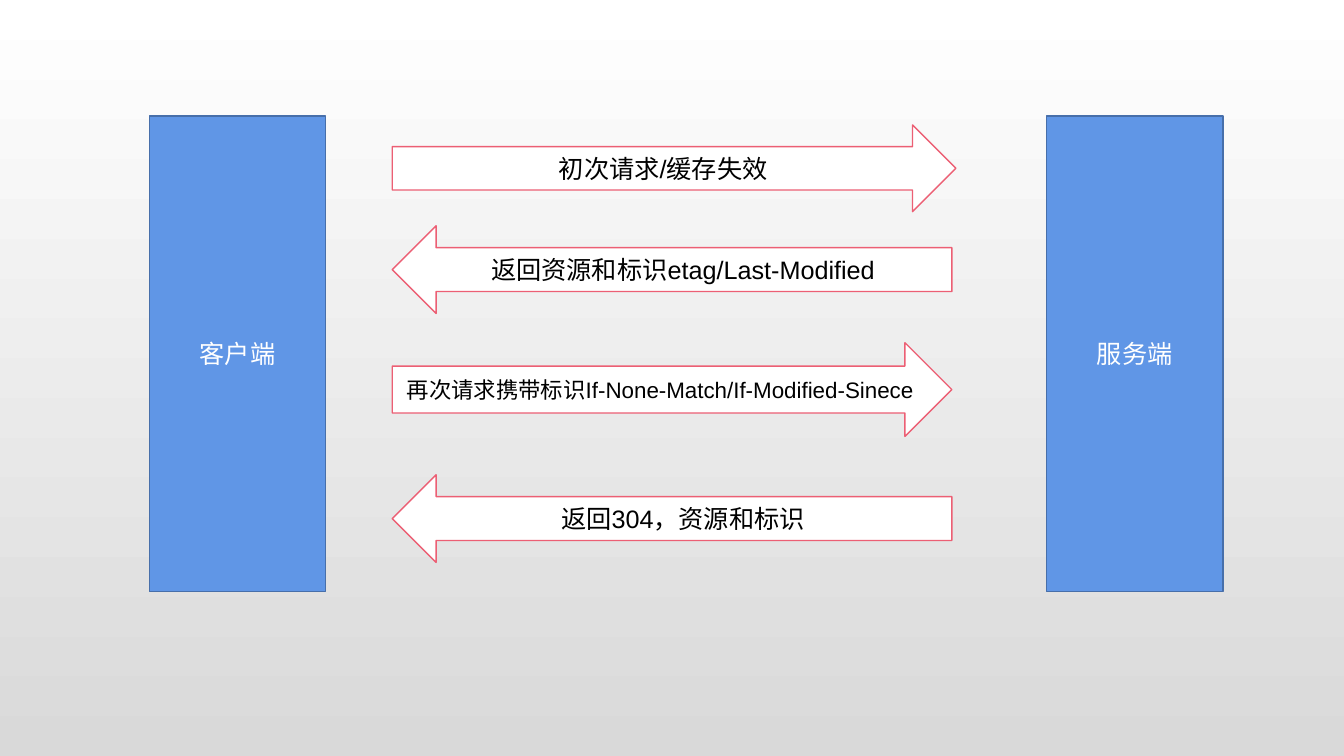
from pptx import Presentation
from pptx.dml.color import RGBColor
from pptx.enum.shapes import MSO_SHAPE
from pptx.enum.text import MSO_ANCHOR, PP_ALIGN
from pptx.util import Inches, Pt

RECT = MSO_SHAPE.RECTANGLE
RIGHT, LEFT = MSO_SHAPE.RIGHT_ARROW, MSO_SHAPE.LEFT_ARROW
MIDDLE, CENTER = MSO_ANCHOR.MIDDLE, PP_ALIGN.CENTER

# Content: endpoints (label, left) and messages
# (direction, label, top, width, height, text size)
ENDPOINTS = [("客户端", 1.48), ("服务端", 10.38)]
MESSAGES = [
    (RIGHT, "初次请求/缓存失效", 1.24, 5.59, 0.86, 18),
    (LEFT, "返回资源和标识etag/Last-Modified", 2.24, 5.55, 0.87, 18),
    (RIGHT, "再次请求携带标识If-None-Match/If-Modified-Sinece", 3.4, 5.55, 0.93, 16),
    (LEFT, "返回304，资源和标识", 4.71, 5.55, 0.87, 18),
]

# Layout and colours
ENDPOINT_TOP, ENDPOINT_W, ENDPOINT_H = 1.15, 1.75, 4.72
MESSAGE_LEFT = 3.89
BACKGROUND = ["FFFFFF", "D9D9D9"]
ENDPOINT_COLOURS = ("6096E6", "476FAA", "FFFFFF")  # fill, line, text
MESSAGE_COLOURS = ("FFFFFF", "EC5F74", "000000")


def rgb(value):
    return RGBColor.from_string(value)


def add_box(s, kind, box, label, size, colours):
    fill, line, text = map(rgb, colours)
    sp = s.shapes.add_shape(kind, *map(Inches, box))
    sp.shadow.inherit = False
    sp.fill.solid()
    sp.fill.fore_color.rgb = fill
    sp.line.color.rgb = line
    sp.line.width = Pt(1)
    tf = sp.text_frame
    tf.word_wrap = True
    tf.vertical_anchor = MIDDLE
    p = tf.paragraphs[0]
    p.alignment = CENTER
    r = p.add_run()
    r.text = label
    r.font.name = "Arial"
    r.font.size = Pt(size)
    r.font.color.rgb = text


prs = Presentation()
prs.slide_width, prs.slide_height = Inches(13.33), Inches(7.5)
s = prs.slides.add_slide(prs.slide_layouts[6])

# Background, fading downwards
bg = s.background.fill
bg.gradient()
bg.gradient_angle = 270
for i, (stop, colour) in enumerate(zip(bg.gradient_stops, BACKGROUND)):
    stop.position = i
    stop.color.rgb = rgb(colour)

# Client and server
for label, left in ENDPOINTS:
    box = (left, ENDPOINT_TOP, ENDPOINT_W, ENDPOINT_H)
    add_box(s, RECT, box, label, 18, ENDPOINT_COLOURS)

# Requests and responses
for kind, label, top, width, height, size in MESSAGES:
    box = (MESSAGE_LEFT, top, width, height)
    add_box(s, kind, box, label, size, MESSAGE_COLOURS)

prs.save("out.pptx")
